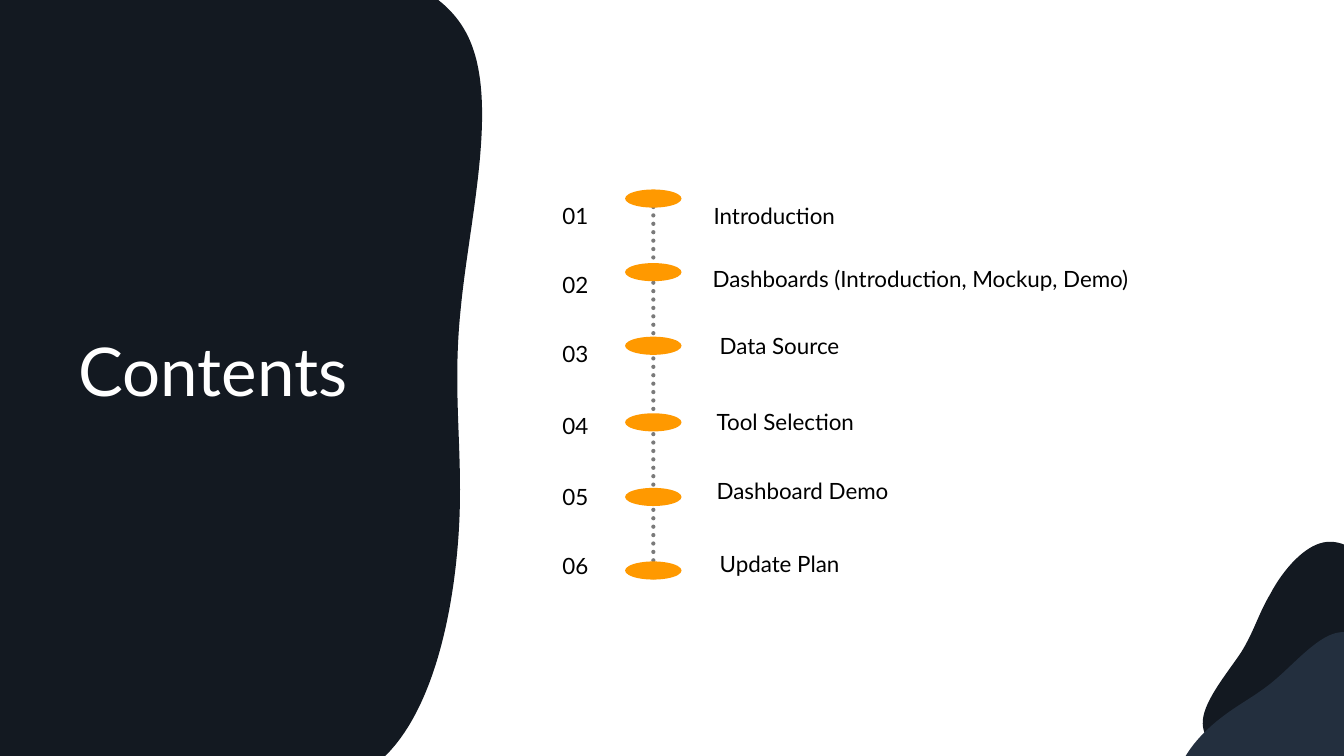
import math
import pptx
import pptx.util
import pptx.dml.color
import pptx.enum.dml
import pptx.enum.shapes
import pptx.enum.text
import pptx.oxml
import pptx.oxml.ns
from pptx.util import Inches

COLORS = {"dark": "131921", "navy": "232F3E", "orange": "FF9900",
          "gray": "595959", "black": "000000", "white": "FFFFFF"}
FONT = "Lato"
PANEL = [(2.91, -0.35), (3.67, -0.37, 4.44, -0.19, 4.68, 0.45),
         (4.93, 1.11, 4.65, 2.22, 4.57, 3.06), (4.48, 3.91, 4.6, 4.49, 4.55, 5.28),
         (4.5, 6.07, 4.3, 7.05, 3.8, 7.52), (3.37, 7.93, 2.72, 7.94, 2.13, 7.68),
         (1.96, 7.59), (1.96, 7.69), (0, 7.69), (0, -0.15), (1.81, -0.15), (1.82, -0.15),
         (2.16, -0.29, 2.53, -0.35, 2.91, -0.35)]
DARK_BLOB = [(11.93, 7.14), (11.95, 6.94, 12.17, 6.68, 12.31, 6.47),
             (12.44, 6.26, 12.48, 6.09, 12.6, 5.89), (12.71, 5.68, 12.9, 5.45, 13.09, 5.39),
             (13.28, 5.33, 13.48, 5.45, 13.6, 5.63), (13.72, 5.82, 13.76, 6.07, 13.73, 6.33),
             (13.7, 6.58, 13.6, 6.83, 13.46, 7.07), (13.31, 7.31, 13.13, 7.53, 12.93, 7.63),
             (12.72, 7.72, 12.5, 7.68, 12.3, 7.59), (12.09, 7.49, 11.91, 7.34, 11.93, 7.14)]
NAVY_BLOB = [(13.25, 6.28), (13.05, 6.33, 12.83, 6.59, 12.64, 6.75),
             (12.45, 6.91, 12.29, 6.98, 12.1, 7.13), (11.92, 7.27, 11.72, 7.49, 11.69, 7.68),
             (11.66, 7.88, 11.8, 8.06, 12, 8.15), (12.2, 8.24, 12.46, 8.25, 12.71, 8.18),
             (12.95, 8.11, 13.19, 7.98, 13.4, 7.8), (13.62, 7.62, 13.81, 7.41, 13.87, 7.19),
             (13.94, 6.98, 13.86, 6.76, 13.74, 6.57), (13.62, 6.39, 13.45, 6.23, 13.25, 6.28)]
ITEMS = [("Introduction", 0.78, 0, 2.57),
         ("Dashboards (Introduction, Mockup, Demo)", 0.77, 0.62, 5.27),
         ("Data Source", 0.84, 1.29, 2.57),
         ("Tool Selection", 0.81, 2.04, 2.57),
         ("Dashboard Demo", 0.81, 2.72, 2.57),
         ("Update Plan", 0.84, 3.45, 2.57)]
NUMBER_TOPS = [0, 0.68, 1.37, 2.08, 2.78, 3.47]
DOT_TOPS = [0, 0.73, 1.46, 2.22, 2.96, 3.69]


def rgb(name):
    """Return the named colour."""
    return pptx.dml.color.RGBColor.from_string(COLORS[name])


def paint(sp, color):
    """Give a shape a flat fill without line or shadow."""
    sp.shadow.inherit = False
    sp.fill.solid()
    sp.fill.fore_color.rgb = rgb(color)
    sp.line.fill.background()


def format_text(sp, text, size, color):
    """Write one left-aligned paragraph into a shape and return it."""
    tf = sp.text_frame
    tf.text = text
    tf.vertical_anchor = pptx.enum.text.MSO_ANCHOR.TOP
    tf.auto_size = pptx.enum.text.MSO_AUTO_SIZE.SHAPE_TO_FIT_TEXT
    p = tf.paragraphs[0]
    p.alignment = pptx.enum.text.PP_ALIGN.LEFT
    font = p.runs[0].font
    font.name, font.size = FONT, pptx.util.Pt(size)
    font.color.rgb = rgb(color)
    return p


def add_blob(s, outline, color, x, y, w, h, rotation=0):
    """Draw a closed outline of points and Bezier curves in a rotated box."""
    builder = s.shapes.build_freeform(Inches(x), Inches(y))
    builder.add_line_segments([(Inches(x + w), Inches(y)), (Inches(x + w), Inches(y + h)),
                               (Inches(x), Inches(y + h))], close=True)
    sp = builder.convert_to_shape()
    sp.rotation = rotation
    paint(sp, color)
    cos, sin = math.cos(math.radians(rotation)), math.sin(math.radians(rotation))
    outline_xml = sp.element.find(".//" + pptx.oxml.ns.qn("a:path"))
    for child in list(outline_xml):
        outline_xml.remove(child)
    ns = pptx.oxml.ns.nsdecls("a")
    for i, part in enumerate(outline):
        tag = "moveTo" if i == 0 else "lnTo" if len(part) == 2 else "cubicBezTo"
        pts = ""
        for px, py in zip(part[::2], part[1::2]):
            dx, dy = px - x - w / 2, py - y - h / 2
            left = Inches(w / 2 + dx * cos + dy * sin)
            top = Inches(h / 2 - dx * sin + dy * cos)
            pts += f'<a:pt x="{left}" y="{top}"/>'
        outline_xml.append(pptx.oxml.parse_xml(f"<a:{tag} {ns}>{pts}</a:{tag}>"))
    outline_xml.append(pptx.oxml.parse_xml(f"<a:close {ns}/>"))


def add_title(s, text, x, y, w, h):
    """Place the slide title above the dark panel."""
    sp = s.shapes.title
    sp.left, sp.top, sp.width, sp.height = (Inches(v) for v in (x, y, w, h))
    format_text(sp, text, 48, "white")
    sp.text_frame.word_wrap = False
    sp.element.getparent().append(sp.element)


def add_label(s, text, x, y, w):
    """Add one line of the contents list."""
    sp = s.shapes.add_textbox(Inches(x), Inches(y), Inches(w), Inches(0.42))
    sp.text_frame.word_wrap = True
    format_text(sp, text, 16, "black").line_spacing = 1.3


def add_timeline(s, x, y, w, h):
    """Draw ovals on a dotted vertical line."""
    group = s.shapes.add_group_shape()
    mid = Inches(x + w / 2)
    line = group.shapes.add_connector(pptx.enum.shapes.MSO_CONNECTOR.STRAIGHT, mid,
                                      Inches(y + 0.09), mid, Inches(y + h))
    line.line.width = pptx.util.Pt(3)
    line.line.color.rgb = rgb("gray")
    line.line.dash_style = pptx.enum.dml.MSO_LINE.ROUND_DOT
    ln = line.element.find(".//" + pptx.oxml.ns.qn("a:ln"))
    ln.set("cap", "rnd")
    color = ln.find(".//" + pptx.oxml.ns.qn("a:srgbClr"))
    ns = pptx.oxml.ns.nsdecls("a")
    color.append(pptx.oxml.parse_xml(f'<a:alpha {ns} val="80000"/>'))
    ln.getparent().append(pptx.oxml.parse_xml(f"<a:effectLst {ns}/>"))
    for top in DOT_TOPS:
        dot = group.shapes.add_shape(pptx.enum.shapes.MSO_SHAPE.OVAL, Inches(x),
                                     Inches(y + top), Inches(w), Inches(0.18))
        paint(dot, "orange")


def add_numbers(s, x, y, w):
    """Place the item numbers in a column."""
    for i, top in enumerate(NUMBER_TOPS, 1):
        add_label(s, f"{i:02d}", x, y + top, w)


def add_contents(s, x, y):
    """Place the labels and the timeline."""
    for text, dx, dy, w in ITEMS:
        add_label(s, text, x + dx, y + dy, w)
    add_timeline(s, x, y, 0.56, 3.87)


def main():
    """Build the contents slide and save it."""
    prs = pptx.Presentation()
    prs.slide_width, prs.slide_height = Inches(13.33), Inches(7.5)
    s = prs.slides.add_slide(prs.slide_layouts.get_by_name("Title Only"))
    add_blob(s, PANEL, "dark", 0, -0.36, 4.78, 8.21)
    add_title(s, "Contents", 0.68, 3.22, 2.95, 0.91)
    add_contents(s, 6.2, 1.88)
    add_blob(s, DARK_BLOB, "dark", 12.27, 5.35, 1.37, 2.42, 206.4)
    add_blob(s, NAVY_BLOB, "navy", 12.14, 6.17, 1.37, 2.42, 55.1)
    add_numbers(s, 5.48, 1.88, 0.81)
    prs.save("out.pptx")


if __name__ == "__main__":
    main()
